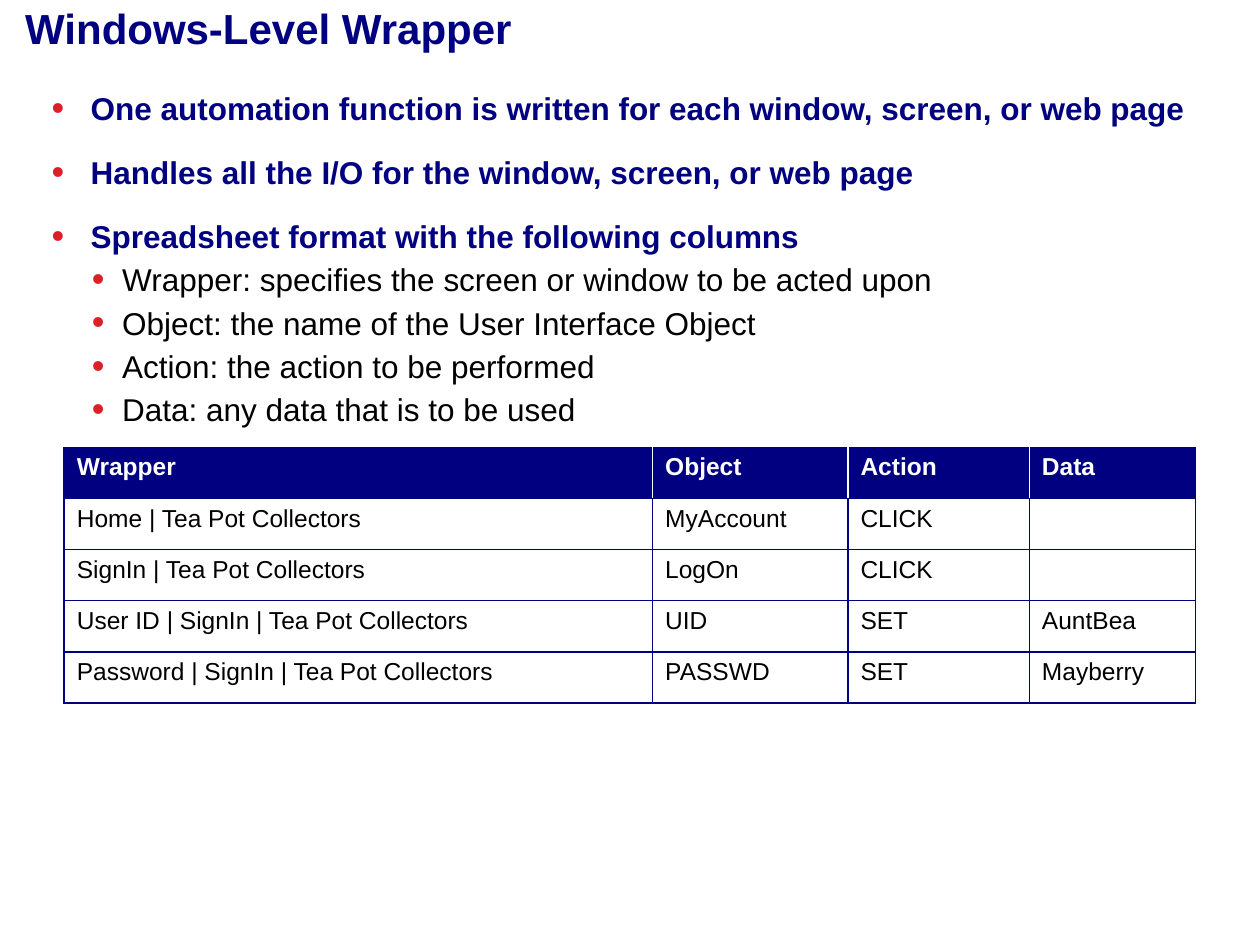
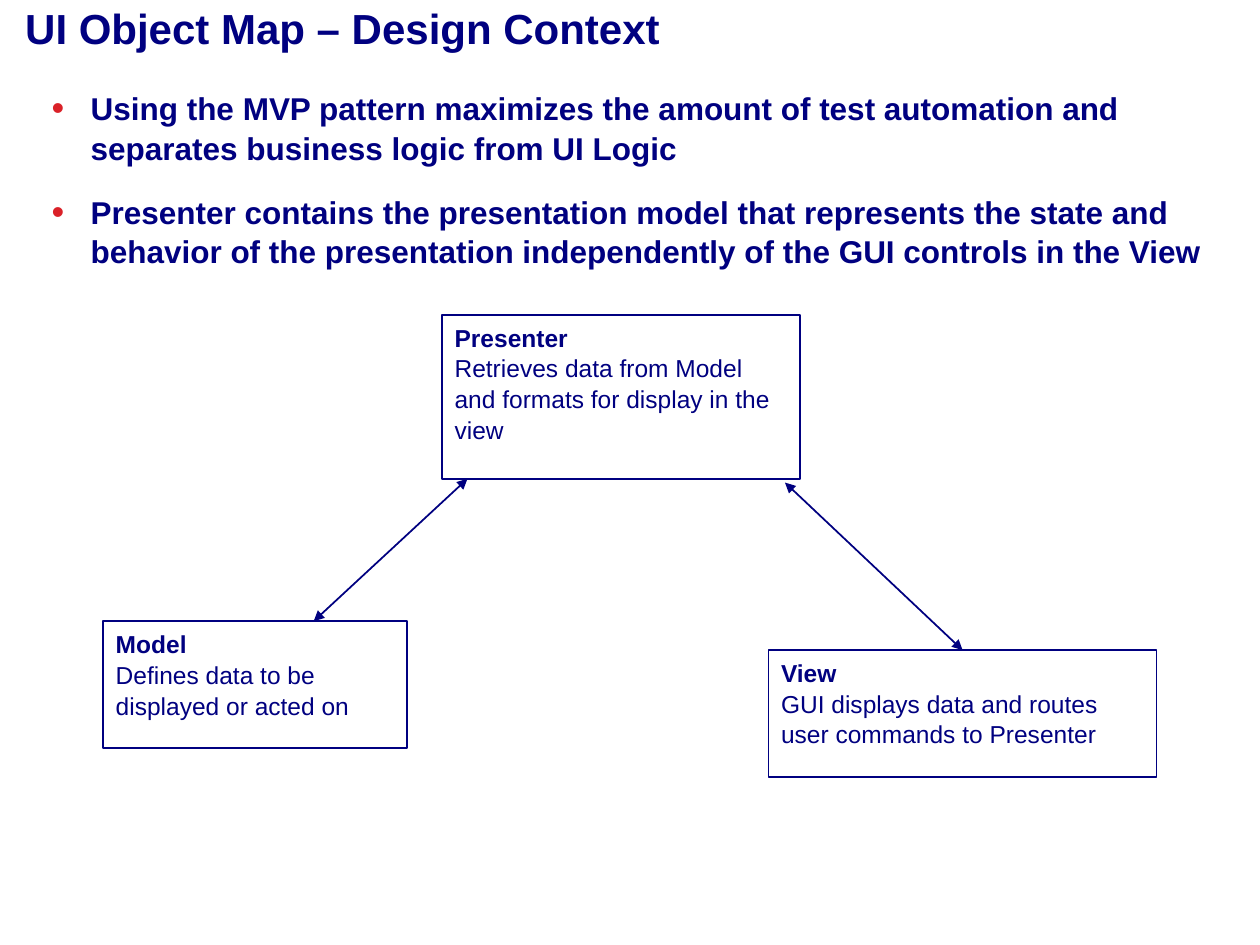
from lxml.etree import SubElement
from pptx import Presentation
from pptx.dml.color import RGBColor
from pptx.enum.shapes import MSO_CONNECTOR, MSO_SHAPE
from pptx.enum.text import MSO_ANCHOR, MSO_AUTO_SIZE, PP_ALIGN
from pptx.oxml.ns import qn
from pptx.util import Inches, Pt

COLORS = {"navy": "000080", "red": "DA2128", "black": "000000", "white": "FFFFFF"}
LINE_SPACING = 1.05
LEVELS = [
    {"margin": 0.31, "indent": -0.31, "before": 14, "color": "navy", "bold": True},
    {"margin": 0.56, "indent": -0.24, "before": 2, "color": "black", "bold": False},
]


def style(paragraph, size, color, bold):
    paragraph.font.name = "Arial"
    paragraph.font.size = Pt(size)
    paragraph.font.bold = bold
    paragraph.font.color.rgb = RGBColor.from_string(COLORS[color])
    paragraph.alignment = PP_ALIGN.LEFT


def add_page(deck, title_text, bullets, body_height):
    page = deck.slides.add_slide(deck.slide_layouts[1])
    title, body = page.placeholders
    title.left, title.top, title.width, title.height = 0, 0, Inches(10), Inches(0.44)
    frame = title.text_frame
    frame.text = title_text
    frame.auto_size = MSO_AUTO_SIZE.NONE
    frame.vertical_anchor = MSO_ANCHOR.MIDDLE
    frame.margin_left, frame.margin_right = Inches(0.2), Inches(0.1)
    frame.margin_top = frame.margin_bottom = 0
    style(frame.paragraphs[0], 24, "navy", True)

    body.left, body.top = Inches(0.31), Inches(0.64)
    body.width, body.height = Inches(9.4), Inches(body_height)
    frame = body.text_frame
    frame.text = "\n".join(text for level, text in bullets)
    frame.auto_size = MSO_AUTO_SIZE.NONE
    frame.vertical_anchor = MSO_ANCHOR.TOP
    for paragraph, (level, text) in zip(frame.paragraphs, bullets):
        look = LEVELS[level]
        paragraph.level = level
        paragraph.space_before = Pt(look["before"])
        paragraph.line_spacing = LINE_SPACING
        style(paragraph, 18, look["color"], look["bold"])
        properties = paragraph._p.get_or_add_pPr()
        properties.set("marL", str(Inches(look["margin"])))
        properties.set("indent", str(Inches(look["indent"])))
        default_run = properties.find(qn("a:defRPr"))
        bullet_color = SubElement(properties, qn("a:buClr"))
        SubElement(bullet_color, qn("a:srgbClr"), val=COLORS["red"])
        SubElement(properties, qn("a:buSzPct"), val="115000")
        SubElement(properties, qn("a:buFont"), typeface="Arial")
        SubElement(properties, qn("a:buChar"), char="•")
        properties.append(default_run)
    return page


deck = Presentation()
deck.slide_width, deck.slide_height = Inches(10), Inches(7.5)

wrapper_page = add_page(deck, "Windows-Level Wrapper", [
    (0, "One automation function is written for each window, screen, or web page"),
    (0, "Handles all the I/O for the window, screen, or web page"),
    (0, "Spreadsheet format with the following columns"),
    (1, "Wrapper: specifies the screen or window to be acted upon"),
    (1, "Object: the name of the User Interface Object"),
    (1, "Action: the action to be performed"),
    (1, "Data: any data that is to be used"),
], 5.04)

rows = [
    ("Wrapper", "Object", "Action", "Data"),
    ("Home | Tea Pot Collectors", "MyAccount", "CLICK", ""),
    ("SignIn | Tea Pot Collectors", "LogOn", "CLICK", ""),
    ("User ID | SignIn | Tea Pot Collectors", "UID", "SET", "AuntBea"),
    ("Password | SignIn | Tea Pot Collectors", "PASSWD", "SET", "Mayberry"),
]
column_widths = [4.67, 1.55, 1.44, 1.32]
table = wrapper_page.shapes.add_table(
    len(rows), len(column_widths), Inches(0.51), Inches(3.55),
    Inches(sum(column_widths)), Inches(2.03)).table
table.horz_banding = False
for column, width in zip(table.columns, column_widths):
    column.width = Inches(width)
for row_index, values in enumerate(rows):
    is_header = row_index == 0
    for column_index, value in enumerate(values):
        cell = table.cell(row_index, column_index)
        cell.text = value
        style(cell.text_frame.paragraphs[0], 14, "white" if is_header else "black", is_header)
        cell_properties = cell._tc.get_or_add_tcPr()
        inner_edges = {"L": column_index > 0, "R": column_index < len(values) - 1}
        for side in "LRTB":
            edge_color = "white" if is_header and inner_edges.get(side) else "navy"
            border = SubElement(cell_properties, qn(f"a:ln{side}"), w=str(Pt(1)))
            fill = SubElement(border, qn("a:solidFill"))
            SubElement(fill, qn("a:srgbClr"), val=COLORS[edge_color])
        if is_header:
            cell.fill.solid()
            cell.fill.fore_color.rgb = RGBColor.from_string(COLORS["navy"])
        else:
            cell.fill.background()

map_page = add_page(deck, "UI Object Map – Design Context", [
    (0, "Using the MVP pattern maximizes the amount of test automation and "
        "separates business logic from UI Logic"),
    (0, "Presenter contains the presentation model that represents the state and "
        "behavior of the presentation independently of the GUI controls in the View"),
], 1.51)

roles = [
    ("Presenter", "Retrieves data from Model and formats for display in the view", 3.51, 2.5, 2.84, 1.3),
    ("View", "GUI displays data and routes user commands to Presenter", 6.1, 5.16, 3.08, 1.01),
    ("Model", "Defines data to be displayed or acted on", 0.82, 4.93, 2.41, 1.01),
]
for name, duty, *bounds in roles:
    box = map_page.shapes.add_shape(MSO_SHAPE.RECTANGLE, *map(Inches, bounds))
    box.shadow.inherit = False
    box.fill.background()
    box.line.color.rgb = RGBColor.from_string(COLORS["navy"])
    box.line.width = Pt(1)
    frame = box.text_frame
    frame.text = f"{name}\n{duty}"
    frame.word_wrap = True
    frame.vertical_anchor = MSO_ANCHOR.TOP
    for paragraph, bold in zip(frame.paragraphs, (True, False)):
        style(paragraph, 14, "navy", bold)
        paragraph.line_spacing = LINE_SPACING

for ends in [(6.23, 3.83, 7.64, 5.16), (3.71, 3.8, 2.49, 4.93)]:
    arrow = map_page.shapes.add_connector(MSO_CONNECTOR.STRAIGHT, *map(Inches, ends))
    arrow.line.color.rgb = RGBColor.from_string(COLORS["navy"])
    arrow.line.width = Pt(1)
    outline = arrow.line._get_or_add_ln()
    for end in ("headEnd", "tailEnd"):
        SubElement(outline, qn(f"a:{end}"), type="triangle")
    SubElement(arrow._element.spPr, qn("a:effectLst"))

deck.save("out.pptx")
